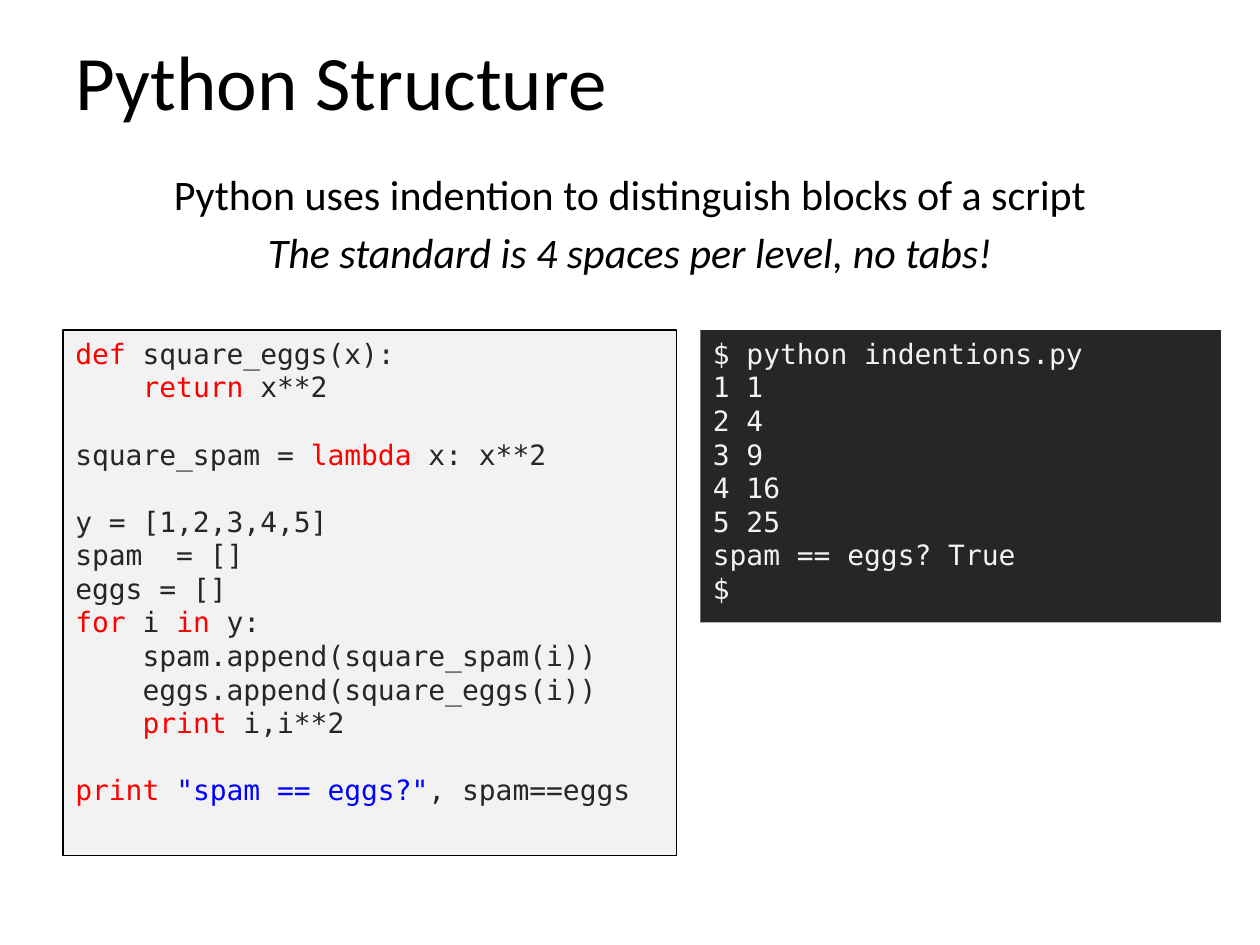
from dataclasses import dataclass

from pptx import Presentation
from pptx.dml.color import RGBColor
from pptx.enum.shapes import MSO_SHAPE
from pptx.enum.text import MSO_ANCHOR, PP_ALIGN
from pptx.util import Inches, Pt


@dataclass(frozen=True)
class Theme:
    black: RGBColor = RGBColor(0x00, 0x00, 0x00)
    dark: RGBColor = RGBColor(0x26, 0x26, 0x26)
    light: RGBColor = RGBColor(0xF2, 0xF2, 0xF2)
    keyword: RGBColor = RGBColor(0xFF, 0x00, 0x00)
    string: RGBColor = RGBColor(0x00, 0x00, 0xFF)
    sans: str = "Calibri"
    mono: str = "DejaVu Sans Mono"
    title_size: Pt = Pt(44)
    body_size: Pt = Pt(24)
    code_size: Pt = Pt(16)
    code_line: Pt = Pt(19.2)


theme = Theme()

# Bars enclose highlighted words; an empty line becomes space above the next one.
SCRIPT = """\
|def| square_eggs(x):
    |return| x**2

square_spam = |lambda| x: x**2

y = [1,2,3,4,5]
spam  = []
eggs = []
|for| i |in| y:
    spam.append(square_spam(i))
    eggs.append(square_eggs(i))
    |print| i,i**2

|print| |"spam == eggs?"|, spam==eggs"""

OUTPUT = """\
$ python indentions.py
1 1
2 4
3 9
4 16
5 25
spam == eggs? True
$"""


def style(para, face, size, color):
    para.font.name = face
    para.font.size = size
    para.font.color.rgb = color


def add_code_panel(slide, left, width, height, fill, color, code):
    """Add a filled panel holding one paragraph per line of code."""
    panel = slide.shapes.add_shape(
        MSO_SHAPE.RECTANGLE, Inches(left), Inches(2.62), Inches(width), Inches(height)
    )
    panel.shadow.inherit = False
    panel.fill.solid()
    panel.fill.fore_color.rgb = fill
    panel.line.fill.background()
    frame = panel.text_frame
    frame.word_wrap = True
    frame.vertical_anchor = MSO_ANCHOR.TOP
    para, gap = frame.paragraphs[0], False
    for number, line in enumerate(code.split("\n")):
        if not line:
            gap = True
            continue
        if number:
            para = frame.add_paragraph()
        para.alignment = PP_ALIGN.LEFT
        style(para, theme.mono, theme.code_size, color)
        if gap:
            para.space_before = theme.code_line
            gap = False
        for index, part in enumerate(line.split("|")):
            if not part:
                continue
            span = para.add_run()
            span.text = part
            if index % 2:
                quoted = part.startswith('"')
                span.font.color.rgb = theme.string if quoted else theme.keyword
    return panel


deck = Presentation()
deck.slide_width, deck.slide_height = Inches(10), Inches(7.5)
page = deck.slides.add_slide(deck.slide_layouts[6])

title = page.shapes.add_textbox(Inches(0.5), Inches(0.17), Inches(9), Inches(0.93))
title.text_frame.word_wrap = True
title.text_frame.vertical_anchor = MSO_ANCHOR.MIDDLE
para = title.text_frame.paragraphs[0]
para.text = "Python Structure"
style(para, theme.sans, theme.title_size, theme.black)

body = page.shapes.add_textbox(Inches(0.5), Inches(1.29), Inches(9), Inches(1.2))
body.text_frame.word_wrap = True
body.text_frame.text = (
    "Python uses indention to distinguish blocks of a script\n"
    "The standard is 4 spaces per level, no tabs!"
)
for para in body.text_frame.paragraphs:
    para.alignment = PP_ALIGN.CENTER
    para.space_before = Pt(4)
    style(para, theme.sans, theme.body_size, theme.black)
para.font.italic = True

script_panel = add_code_panel(page, 0.5, 4.87, 4.17, theme.light, theme.dark, SCRIPT)
script_panel.line.color.rgb = theme.black
script_panel.line.width = Pt(0.75)
add_code_panel(page, 5.56, 4.13, 2.32, theme.dark, theme.light, OUTPUT)

deck.save("out.pptx")
